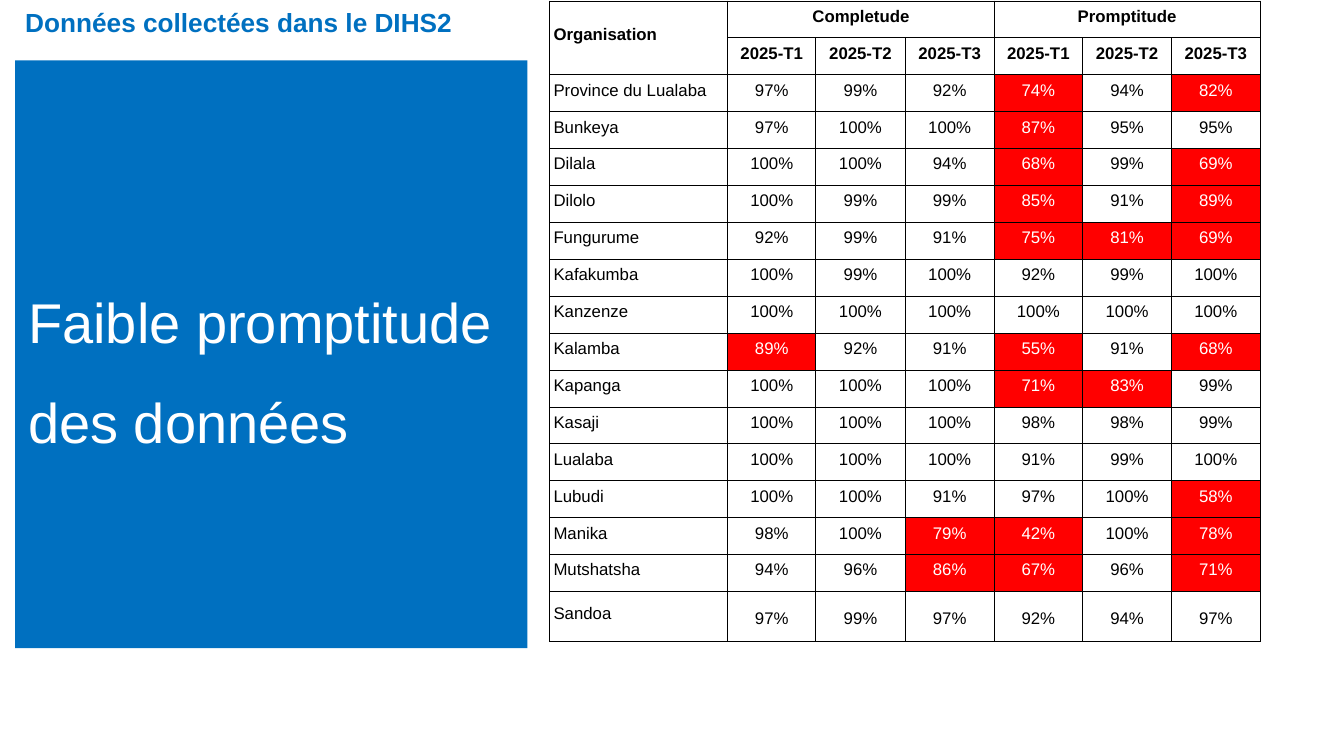
import pptx
import pptx.dml.color
import pptx.enum.shapes
import pptx.enum.text
import pptx.oxml.ns
import pptx.util
from lxml import etree

Inches = pptx.util.Inches
Pt = pptx.util.Pt
RGBColor = pptx.dml.color.RGBColor
Align = pptx.enum.text.PP_ALIGN
Anchor = pptx.enum.text.MSO_ANCHOR

TITLE = "Données collectées dans le DIHS2"
MESSAGE = "Faible promptitude des données"
MEASURES = ("Completude", "Promptitude")
QUARTERS = ("2025-T1", "2025-T2", "2025-T3")
RATES = [
    ("Province du Lualaba", 97, 99, 92, 74, 94, 82),
    ("Bunkeya", 97, 100, 100, 87, 95, 95),
    ("Dilala", 100, 100, 94, 68, 99, 69),
    ("Dilolo", 100, 99, 99, 85, 91, 89),
    ("Fungurume", 92, 99, 91, 75, 81, 69),
    ("Kafakumba", 100, 99, 100, 92, 99, 100),
    ("Kanzenze", 100, 100, 100, 100, 100, 100),
    ("Kalamba", 89, 92, 91, 55, 91, 68),
    ("Kapanga", 100, 100, 100, 71, 83, 99),
    ("Kasaji", 100, 100, 100, 98, 98, 99),
    ("Lualaba", 100, 100, 100, 91, 99, 100),
    ("Lubudi", 100, 100, 91, 97, 100, 58),
    ("Manika", 98, 100, 79, 42, 100, 78),
    ("Mutshatsha", 94, 96, 86, 67, 96, 71),
    ("Sandoa", 97, 99, 97, 92, 94, 97),
]
THRESHOLD = 90
COLUMN_WIDTHS = (1.77, 0.87, 0.89, 0.88, 0.88, 0.88, 0.88)
LAST_ROW_HEIGHT = 0.5
UPPER_ROWS_HEIGHT = 5.86

FONT = "Arial"
BLUE = RGBColor(0x00, 0x70, 0xC0)
RED = RGBColor(0xFF, 0x00, 0x00)
BLACK = RGBColor(0x00, 0x00, 0x00)
WHITE = RGBColor(0xFF, 0xFF, 0xFF)


def write(frame, text, size, color, bold=False, align=Align.LEFT, spacing=1.0):
    """Put one formatted paragraph in a text frame."""
    frame.text = text
    para = frame.paragraphs[0]
    para.alignment = align
    para.line_spacing = spacing
    para.space_before = Pt(0)
    for span in para.runs:
        span.font.name = FONT
        span.font.size = Pt(size)
        span.font.bold = bold
        span.font.color.rgb = color


def add_borders(cell):
    """Draw a thin black line on the four sides of a cell."""
    properties = cell._tc.get_or_add_tcPr()
    for side in ("a:lnL", "a:lnR", "a:lnT", "a:lnB"):
        line = etree.SubElement(properties, pptx.oxml.ns.qn(side), w=str(Pt(0.75)))
        fill = etree.SubElement(line, pptx.oxml.ns.qn("a:solidFill"))
        etree.SubElement(fill, pptx.oxml.ns.qn("a:srgbClr"), val=str(BLACK))


def add_title(page):
    """Place the slide title at the top left."""
    title = page.shapes.title
    title.left, title.top = Inches(0.15), Inches(0.01)
    title.width, title.height = Inches(5.08), Inches(0.42)
    frame = title.text_frame
    frame.auto_size = pptx.enum.text.MSO_AUTO_SIZE.NONE
    frame.vertical_anchor = Anchor.TOP
    write(frame, TITLE, 18.7, BLUE, bold=True)


def add_message(page):
    """Draw the blue panel with the key message."""
    panel = page.shapes.add_shape(
        pptx.enum.shapes.MSO_SHAPE.RECTANGLE,
        Inches(0.15), Inches(0.6), Inches(5.08), Inches(5.83))
    panel.shadow.inherit = False
    panel.fill.solid()
    panel.fill.fore_color.rgb = BLUE
    panel.line.fill.background()
    frame = panel.text_frame
    frame.word_wrap = True
    frame.vertical_anchor = Anchor.MIDDLE
    frame.margin_left = frame.margin_right = Inches(0.13)
    frame.margin_top = frame.margin_bottom = Inches(0.13)
    write(frame, MESSAGE, 40, WHITE, spacing=1.5)


def add_rates(page):
    """Build the table and mark the rates below the threshold."""
    blanks = [""] * (len(QUARTERS) - 1)
    first_header = ["Organisation"]
    for measure in MEASURES:
        first_header += [measure, *blanks]
    rows = [first_header, ["", *QUARTERS * len(MEASURES)], *RATES]
    last = len(rows) - 1
    table = page.shapes.add_table(
        len(rows), len(COLUMN_WIDTHS), Inches(5.45), Inches(0.01),
        Inches(sum(COLUMN_WIDTHS)),
        Inches(UPPER_ROWS_HEIGHT + LAST_ROW_HEIGHT)).table
    table.first_row = table.horz_banding = False
    for column, width in zip(table.columns, COLUMN_WIDTHS):
        column.width = Inches(width)
    for r, values in enumerate(rows):
        table.rows[r].height = Inches(
            LAST_ROW_HEIGHT if r == last else UPPER_ROWS_HEIGHT / last)
        for c, value in enumerate(values):
            cell = table.cell(r, c)
            is_rate = isinstance(value, int)
            low = is_rate and value < THRESHOLD
            add_borders(cell)
            cell.fill.solid()
            cell.fill.fore_color.rgb = RED if low else WHITE
            cell.vertical_anchor = Anchor.MIDDLE
            cell.margin_left = cell.margin_right = Inches(0.04)
            cell.margin_top = cell.margin_bottom = Inches(0.13)
            write(cell.text_frame, f"{value}%" if is_rate else value, 12,
                  WHITE if low else BLACK, bold=r < 2,
                  align=Align.CENTER if c else Align.LEFT,
                  spacing=1.15 if r == last and c else 0.5)
    table.cell(0, 0).merge(table.cell(1, 0))
    for c in range(1, len(COLUMN_WIDTHS), len(QUARTERS)):
        table.cell(0, c).merge(table.cell(0, c + len(QUARTERS) - 1))


def main():
    """Build the slide and save it."""
    deck = pptx.Presentation()
    deck.slide_width, deck.slide_height = Inches(13.33), Inches(7.5)
    page = deck.slides.add_slide(deck.slide_layouts.get_by_name("Title Only"))
    add_rates(page)
    add_message(page)
    add_title(page)
    deck.save("out.pptx")


if __name__ == "__main__":
    main()
